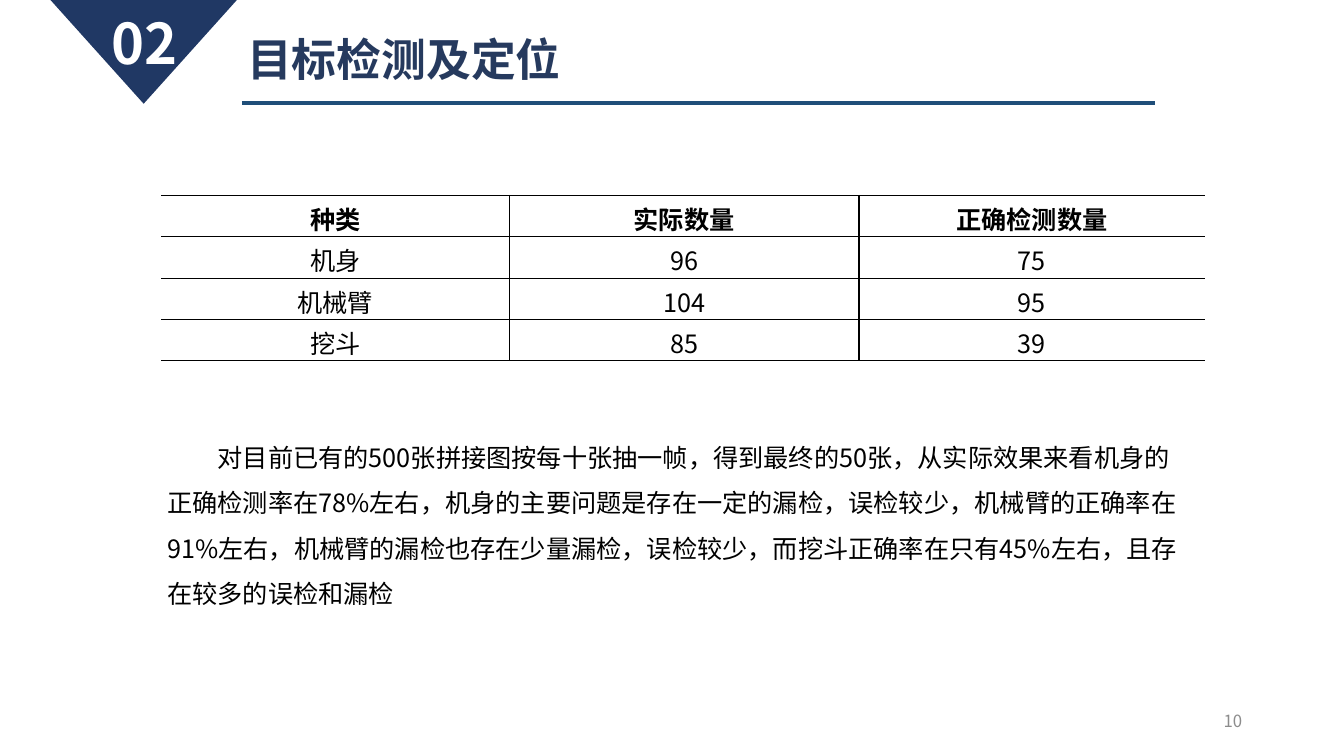
from dataclasses import dataclass

from lxml.etree import SubElement
from pptx import Presentation
from pptx.dml.color import RGBColor
from pptx.enum.shapes import MSO_CONNECTOR, MSO_SHAPE
from pptx.enum.text import MSO_ANCHOR, MSO_AUTO_SIZE, PP_ALIGN
from pptx.oxml.ns import qn
from pptx.util import Emu, Pt

FONT = "Noto Sans CJK SC"
BLACK = "000000"
EMU_PER_PX = 9144  # 100 px to the inch

COLUMN_WIDTHS = (345, 347, 343)
ROW_HEIGHT = 41
DETECTION_ROWS = (
    ("种类", "实际数量", "正确检测数量"),
    ("机身", "96", "75"),
    ("机械臂", "104", "95"),
    ("挖斗", "85", "39"),
)
FINDINGS = (
    "对目前已有的500张拼接图按每十张抽一帧，得到最终的50张，从实际效果来看机身的正确检测率在78%左右，"
    "机身的主要问题是存在一定的漏检，误检较少，机械臂的正确率在91%左右，机械臂的漏检也存在少量漏检，"
    "误检较少，而挖斗正确率在只有45%左右，且存在较多的误检和漏检"
)


@dataclass(frozen=True)
class TextBlock:
    text: str
    left: int
    top: int
    width: int
    height: int
    size: int
    color: str
    bold: bool = False
    align: PP_ALIGN = PP_ALIGN.LEFT
    anchor: MSO_ANCHOR = MSO_ANCHOR.TOP
    fit: MSO_AUTO_SIZE = MSO_AUTO_SIZE.NONE
    line_spacing: float = 1.0
    space_before: int = 0
    indent: int = 0


TITLE = TextBlock("目标检测及定位", 235, 32, 416, 71, 32, "263A5E", bold=True, line_spacing=0.9)
TEXT_BLOCKS = (
    TextBlock("10", 942, 695, 300, 40, 12, "8C8C8C",
              align=PP_ALIGN.RIGHT, anchor=MSO_ANCHOR.MIDDLE),
    TextBlock("02", 101, 11, 91, 62, 40, "FFFFFF",
              bold=True, line_spacing=0.9, space_before=10),
    TextBlock(FINDINGS, 156, 419, 1022, 187, 18, BLACK,
              fit=MSO_AUTO_SIZE.SHAPE_TO_FIT_TEXT, line_spacing=1.5, indent=50),
)


def px(length: int) -> Emu:
    return Emu(length * EMU_PER_PX)


def rgb(color: str) -> RGBColor:
    return RGBColor.from_string(color)


def add_span(para, text: str, size: int, color: str, bold: bool) -> None:
    span = para.add_run()
    span.text = text
    font = span.font
    font.name, font.size, font.bold = FONT, Pt(size), bold
    font.color.rgb = rgb(color)
    SubElement(span._r.get_or_add_rPr(), qn("a:ea"), typeface=FONT)


def fill_text(box, block: TextBlock) -> None:
    box.left, box.top = px(block.left), px(block.top)
    box.width, box.height = px(block.width), px(block.height)
    frame = box.text_frame
    frame.word_wrap = True
    frame.auto_size = block.fit
    frame.vertical_anchor = block.anchor
    para = frame.paragraphs[0]
    para.alignment = block.align
    para.line_spacing = block.line_spacing
    para.space_before = Pt(block.space_before)
    if block.indent:
        para._p.get_or_add_pPr().set("indent", str(px(block.indent)))
    add_span(para, block.text, block.size, block.color, block.bold)


def add_badge(page) -> None:
    badge = page.shapes.add_shape(MSO_SHAPE.ISOSCELES_TRIANGLE, px(50), px(0), px(185), px(103))
    badge.element.spPr.get_or_add_xfrm().set("flipV", "1")
    badge.shadow.inherit = False
    badge.fill.solid()
    badge.fill.fore_color.rgb = rgb("203864")
    badge.line.fill.background()


def add_title_rule(page) -> None:
    rule = page.shapes.add_connector(MSO_CONNECTOR.STRAIGHT, px(240), px(102), px(1146), px(102))
    rule.line.color.rgb = rgb("1F4E79")
    rule.line.width = Pt(3.25)
    SubElement(rule.element.spPr, qn("a:effectLst"))


def set_borders(cell, has_left: bool, has_right: bool) -> None:
    properties = cell._tc.get_or_add_tcPr()
    for side, shown in (("L", has_left), ("R", has_right), ("T", True), ("B", True)):
        border = SubElement(properties, qn(f"a:ln{side}"), w=str(Pt(1)))
        if shown:
            fill = SubElement(border, qn("a:solidFill"))
            SubElement(fill, qn("a:srgbClr"), val=BLACK)
        else:
            SubElement(border, qn("a:noFill"))


def add_detection_table(page) -> None:
    row_count, column_count = len(DETECTION_ROWS), len(COLUMN_WIDTHS)
    table = page.shapes.add_table(
        row_count, column_count, px(160), px(194),
        px(sum(COLUMN_WIDTHS)), px(ROW_HEIGHT * row_count),
    ).table
    table.first_row = table.horz_banding = False
    for column, width in zip(table.columns, COLUMN_WIDTHS):
        column.width = px(width)
    for row_index, texts in enumerate(DETECTION_ROWS):
        table.rows[row_index].height = px(ROW_HEIGHT)
        for column_index, text in enumerate(texts):
            cell = table.cell(row_index, column_index)
            set_borders(cell, column_index > 0, column_index < column_count - 1)
            cell.fill.background()
            cell.margin_top = cell.margin_bottom = 0
            cell.vertical_anchor = MSO_ANCHOR.BOTTOM
            para = cell.text_frame.paragraphs[0]
            para.alignment = PP_ALIGN.CENTER
            add_span(para, text, 18, BLACK, bold=row_index == 0)


def main() -> None:
    deck = Presentation()
    deck.slide_width, deck.slide_height = px(1333), px(750)
    title_only = deck.slide_layouts.get_by_name("Title Only")
    page = deck.slides.add_slide(title_only)
    fill_text(page.shapes.title, TITLE)
    add_badge(page)
    add_title_rule(page)
    for block in TEXT_BLOCKS:
        box = page.shapes.add_textbox(0, 0, 0, 0)
        fill_text(box, block)
    add_detection_table(page)
    deck.save("out.pptx")


if __name__ == "__main__":
    main()
